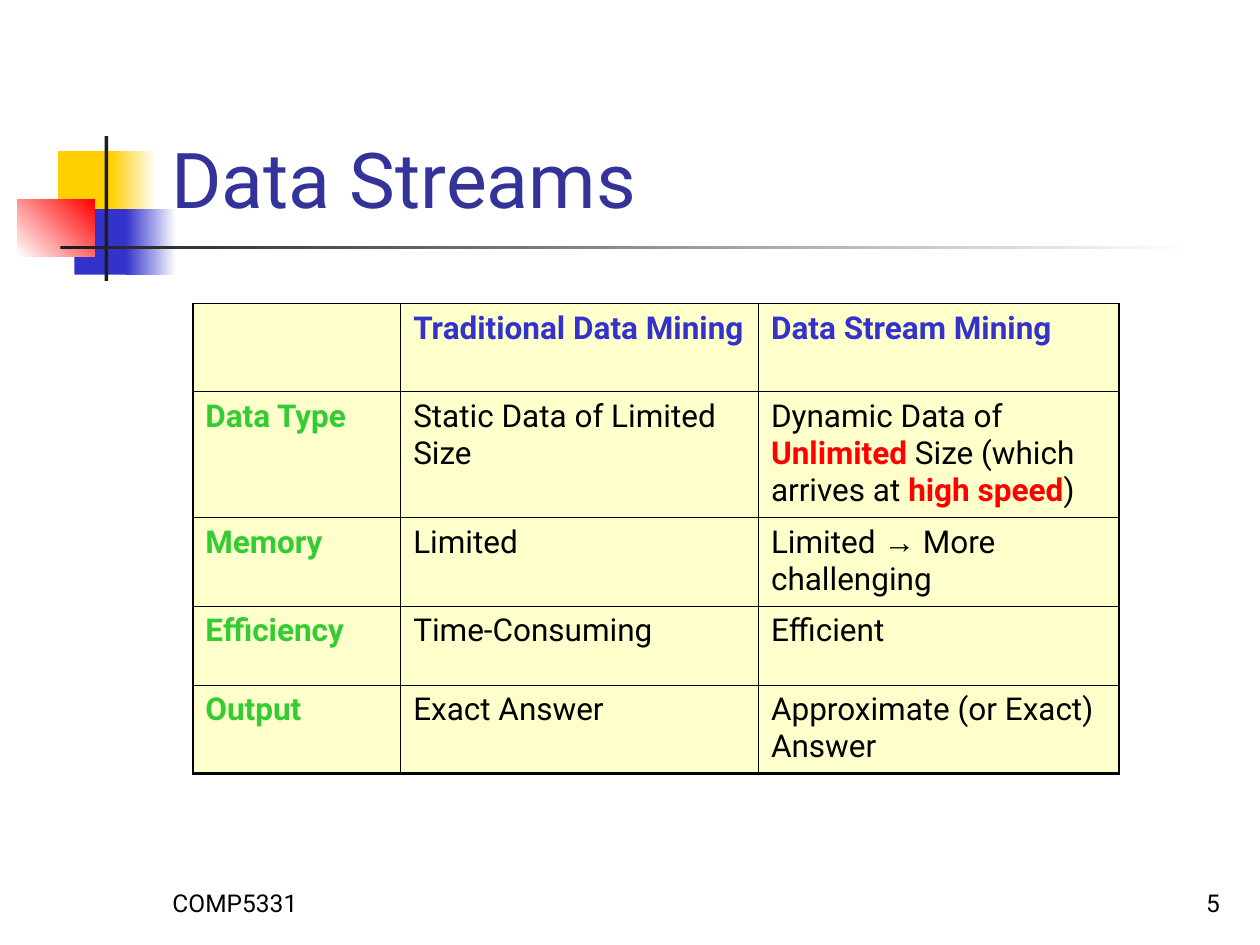
from lxml import etree
from pptx import Presentation
from pptx.dml.color import RGBColor
from pptx.enum.shapes import MSO_SHAPE
from pptx.enum.text import MSO_ANCHOR, PP_ALIGN
from pptx.oxml.ns import qn
from pptx.util import Inches, Pt

RECTANGLE = MSO_SHAPE.RECTANGLE
BOTTOM = MSO_ANCHOR.BOTTOM
LEFT, RIGHT = PP_ALIGN.LEFT, PP_ALIGN.RIGHT

FONT, SYMBOL_FONT = "Roboto", "Arial"
BLACK, WHITE, RED, GREEN = "000000", "FFFFFF", "FF0000", "33CC33"
BLUE, GOLD, CHARCOAL, NAVY, CREAM = "3333CC", "FFCF01", "1C1C1C", "333399", "FFFFCC"

# Content
TITLE = "Data Streams"
FOOTERS = [("COMP5331", 1.27, LEFT), ("5", 7.7, RIGHT)]
HEADINGS = ["", "Traditional Data Mining", "Data Stream Mining"]
# Each row: label, traditional mining, then the runs for stream mining
COMPARISON = [
    ("Data Type", "Static Data of Limited Size",
     ["Dynamic Data of ", ("Unlimited", RED), " Size (which arrives at ",
      ("high speed", RED), ")"]),
    ("Memory", "Limited", ["Limited ", "→", " More challenging"]),
    ("Efficiency", "Time-Consuming", ["Efficient"]),
    ("Output", "Exact Answer", ["Approximate (or Exact) Answer"]),
]
COLUMN_WIDTHS = [1.65, 2.84, 2.86]
ROW_HEIGHTS = [0.7, 1, 0.7, 0.63, 0.7]
INNER_LINE, OUTER_LINE, BOTTOM_LINE = 0.45, 1.08, 1.47

# Box, colours (two make a gradient), gradient angle
ORNAMENT = [
    ((0.46, 1.2, 0.48, 0.52), [GOLD], 0),
    ((0.88, 1.2, 0.36, 0.52), [GOLD, WHITE], 0),
    ((0.59, 1.66, 0.46, 0.52), [BLUE], 0),
    ((1, 1.66, 0.4, 0.52), [BLUE, WHITE], 0),
    ((0.14, 1.58, 0.61, 0.46), [WHITE, RED], 45),
    ((0.83, 1.08, 0.03, 1.15), [CHARCOAL], 0),
    ((0.48, 1.95, 9, 0.03), [CHARCOAL, WHITE], 0),
]


def rgb(value):
    return RGBColor.from_string(value)


def add_run(paragraph, text, size, color=BLACK, bold=False):
    run = paragraph.add_run()
    run.text = text
    run.font.name = SYMBOL_FONT if text == "→" else FONT
    run.font.size = Pt(size)
    run.font.bold = bold
    run.font.color.rgb = rgb(color)


def add_block(slide, box, colors, angle):
    block = slide.shapes.add_shape(RECTANGLE, *map(Inches, box))
    block.shadow.inherit = False
    block.line.fill.background()
    if len(colors) == 1:
        block.fill.solid()
        block.fill.fore_color.rgb = rgb(colors[0])
        return
    block.fill.gradient()
    block.fill.gradient_angle = angle
    for stop, color in zip(block.fill.gradient_stops, colors):
        stop.color.rgb = rgb(color)


def set_borders(cell, widths):
    properties = cell._tc.get_or_add_tcPr()
    for side, width in widths.items():
        line = etree.SubElement(properties, qn(f"a:ln{side}"), w=str(Pt(width)))
        fill = etree.SubElement(line, qn("a:solidFill"))
        etree.SubElement(fill, qn("a:srgbClr"), val=BLACK)


def add_comparison(slide):
    rows = [[[(heading, BLUE)] for heading in HEADINGS]]
    rows += [[[(label, GREEN)], [traditional], stream]
             for label, traditional, stream in COMPARISON]
    table = slide.shapes.add_table(
        len(rows), len(HEADINGS), Inches(1.53), Inches(2.41),
        Inches(sum(COLUMN_WIDTHS)), Inches(sum(ROW_HEIGHTS))).table
    table.first_row = table.horz_banding = False
    for column, width in zip(table.columns, COLUMN_WIDTHS):
        column.width = Inches(width)
    for row, height in zip(table.rows, ROW_HEIGHTS):
        row.height = Inches(height)

    last_row, last_column = len(rows) - 1, len(HEADINGS) - 1
    for r, row in enumerate(rows):
        for c, runs in enumerate(row):
            cell = table.cell(r, c)
            set_borders(cell, {
                "L": OUTER_LINE if c == 0 else INNER_LINE,
                "R": OUTER_LINE if c == last_column else INNER_LINE,
                "T": OUTER_LINE if r == 0 else INNER_LINE,
                "B": BOTTOM_LINE if r == last_row else INNER_LINE,
            })
            cell.fill.solid()
            cell.fill.fore_color.rgb = rgb(CREAM)
            for run in runs:
                # A coloured run is also bold
                text, color = (run, BLACK) if isinstance(run, str) else run
                if text:
                    add_run(cell.text_frame.paragraphs[0], text, 18, color,
                            color != BLACK)


def main():
    presentation = Presentation()
    presentation.slide_width, presentation.slide_height = Inches(10), Inches(7.5)
    slide = presentation.slides.add_slide(presentation.slide_layouts[5])

    # Corner ornament and rule
    for box, colors, angle in ORNAMENT:
        add_block(slide, box, colors, angle)

    # Course code and page number
    for text, left, alignment in FOOTERS:
        footer = slide.shapes.add_textbox(
            Inches(left), Inches(6.83), Inches(2.08), Inches(0.5)).text_frame
        footer.word_wrap = True
        footer.vertical_anchor = BOTTOM
        footer.paragraphs[0].alignment = alignment
        add_run(footer.paragraphs[0], text, 14)

    # Title
    title = slide.shapes.title
    title.left, title.top = Inches(1.26), Inches(0.23)
    title.width, title.height = Inches(8.52), Inches(1.6)
    title.text_frame.vertical_anchor = BOTTOM
    title.text_frame.paragraphs[0].alignment = LEFT
    add_run(title.text_frame.paragraphs[0], TITLE, 44, NAVY)
    # Keep the title in front of the ornament
    slide.shapes._spTree.append(title._element)

    add_comparison(slide)
    presentation.save("out.pptx")


if __name__ == "__main__":
    main()
